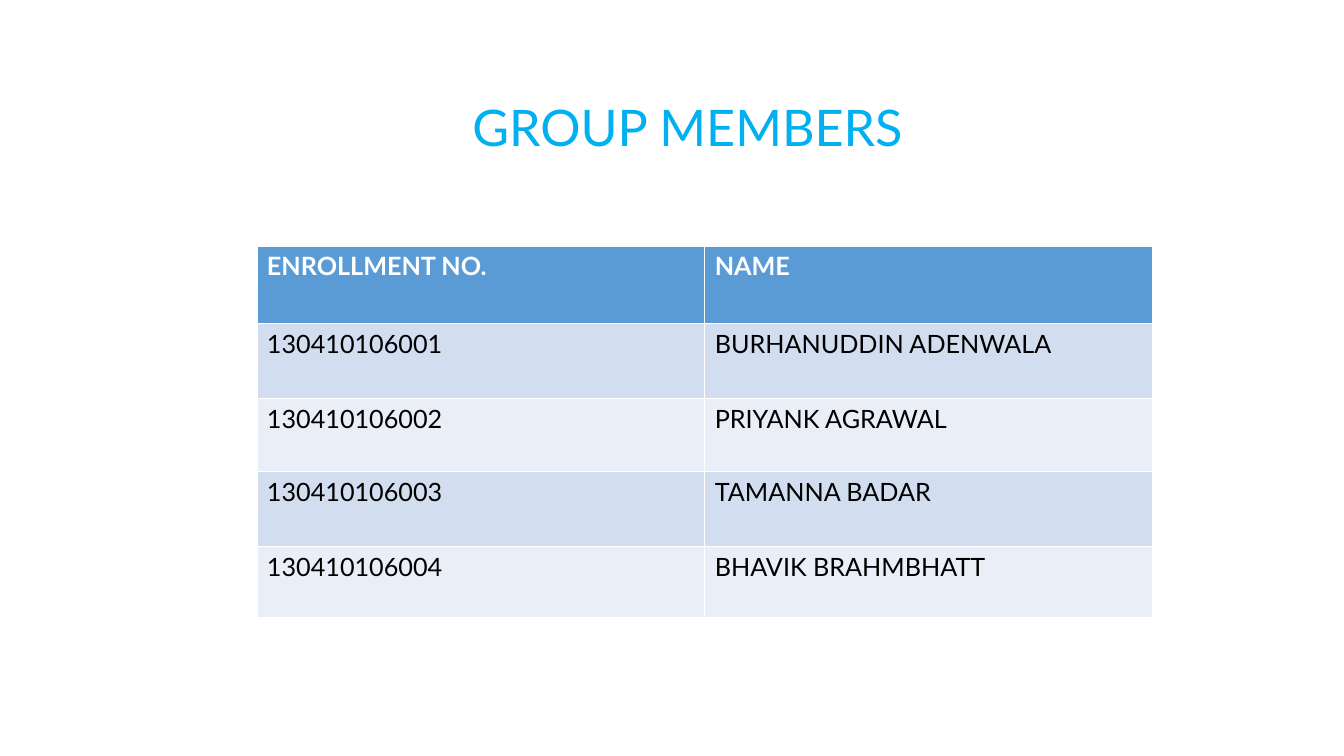
from lxml.etree import SubElement
from pptx import Presentation
from pptx.dml.color import RGBColor
from pptx.enum.text import PP_ALIGN
from pptx.oxml.ns import qn
from pptx.util import Inches, Pt

FONT = "Lato"
SKY = RGBColor(0x00, 0xB0, 0xF0)
WHITE = RGBColor(0xFF, 0xFF, 0xFF)
BLACK = RGBColor(0x00, 0x00, 0x00)
HEADER_BLUE = RGBColor(0x5B, 0x9B, 0xD5)
BANDS = [RGBColor(0xD2, 0xDE, 0xEF), RGBColor(0xEA, 0xEF, 0xF7)]

THIN, THICK = Pt(0.45), Pt(1.47)
ROW_HEIGHTS = [0.77, 0.74, 0.73, 0.74, 0.7]
MEMBERS = [
    ("ENROLLMENT NO.", "NAME"),
    ("130410106001", "BURHANUDDIN ADENWALA"),
    ("130410106002", "PRIYANK AGRAWAL"),
    ("130410106003", "TAMANNA BADAR"),
    ("130410106004", "BHAVIK BRAHMBHATT"),
]


def add_span(para, text, size, color, bold=False):
    span = para.add_run()
    span.text = text
    span.font.name = FONT
    span.font.size = Pt(size)
    span.font.bold = bold
    span.font.color.rgb = color


def set_borders(cell, top, bottom):
    properties = cell._tc.get_or_add_tcPr()
    widths = {"a:lnL": THIN, "a:lnR": THIN, "a:lnT": top, "a:lnB": bottom}
    for tag, width in widths.items():
        line = SubElement(properties, qn(tag), w=str(int(width)))
        fill = SubElement(line, qn("a:solidFill"))
        SubElement(fill, qn("a:srgbClr"), val=str(WHITE))


def add_title(page, left, top, width, height):
    box = page.shapes.add_textbox(Inches(left), Inches(top), Inches(width), Inches(height))
    box.text_frame.word_wrap = True
    para = box.text_frame.paragraphs[0]
    para.alignment = PP_ALIGN.CENTER
    add_span(para, "GROUP MEMBERS", 36, SKY)


def add_member_table(page, left, top, width, height):
    columns = len(MEMBERS[0])
    table = page.shapes.add_table(
        len(MEMBERS), columns, Inches(left), Inches(top), Inches(width), Inches(height)
    ).table
    for column in table.columns:
        column.width = Inches(width / columns)

    for index, (texts, row_height) in enumerate(zip(MEMBERS, ROW_HEIGHTS)):
        header = index == 0
        table.rows[index].height = Inches(row_height)
        for cell, text in zip(table.rows[index].cells, texts):
            # A thicker rule separates the header from the members
            set_borders(cell, THICK if index == 1 else THIN, THICK if header else THIN)
            cell.fill.solid()
            cell.fill.fore_color.rgb = HEADER_BLUE if header else BANDS[(index - 1) % 2]
            para = cell.text_frame.paragraphs[0]
            add_span(para, text, 18, WHITE if header else BLACK, header)


def main():
    deck = Presentation()
    deck.slide_width, deck.slide_height = Inches(13.34), Inches(7.5)
    page = deck.slides.add_slide(deck.slide_layouts[6])
    add_member_table(page, 2.55, 2.44, 8.89, sum(ROW_HEIGHTS))
    add_title(page, 3.96, 0.9, 5.73, 0.7)
    deck.save("out.pptx")


if __name__ == "__main__":
    main()
